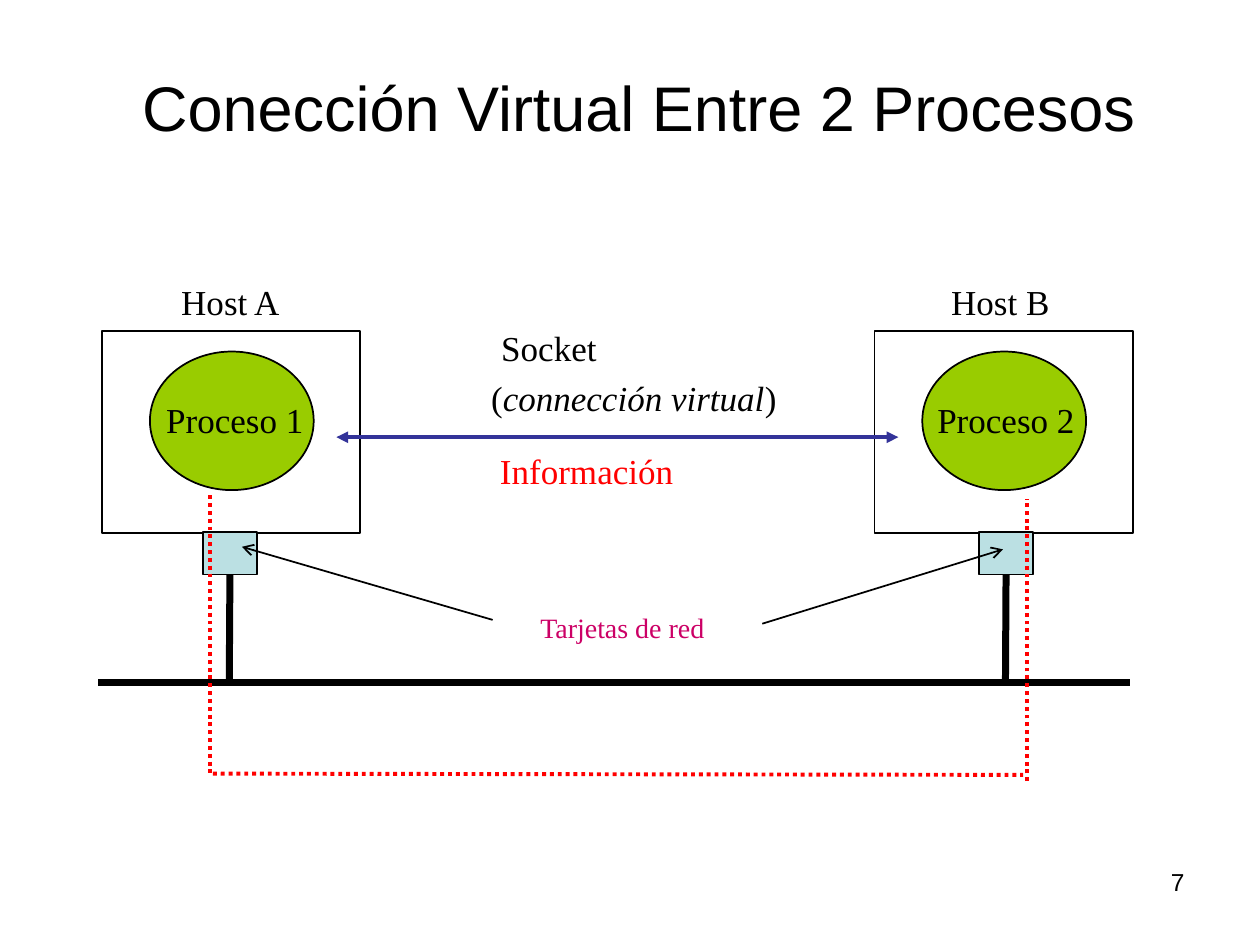
from dataclasses import dataclass
from typing import Optional

from lxml.etree import SubElement
from pptx import Presentation
from pptx.dml.color import RGBColor
from pptx.enum.dml import MSO_LINE
from pptx.enum.shapes import MSO_CONNECTOR, MSO_SHAPE
from pptx.enum.text import MSO_ANCHOR, MSO_AUTO_SIZE, PP_ALIGN
from pptx.oxml.ns import qn
from pptx.util import Emu, Pt

PX = 9144  # EMU per px, 100 px to the inch


@dataclass(frozen=True)
class Theme:
    black: str = "000000"
    white: str = "FFFFFF"
    green: str = "99CC00"
    pale_blue: str = "BBE0E3"
    red: str = "FF0000"
    magenta: str = "CC0066"
    indigo: str = "333399"
    serif: str = "Times New Roman"
    sans: str = "Arial"
    title: int = 36
    label: int = 20
    small: int = 16
    number: int = 14
    thin: float = 1
    medium: float = 2.25
    thick: float = 4


T = Theme()


@dataclass(frozen=True)
class Box:
    x: int
    y: int
    w: int
    h: int

    def emu(self) -> tuple:
        return tuple(Emu(v * PX) for v in (self.x, self.y, self.w, self.h))


@dataclass(frozen=True)
class Label:
    box: Box
    text: str
    size: int = T.label
    color: str = T.black
    font: str = T.serif
    align: PP_ALIGN = PP_ALIGN.LEFT
    anchor: MSO_ANCHOR = MSO_ANCHOR.TOP
    wrap: bool = False
    italic: str = ""  # part of the text set in italics


@dataclass(frozen=True)
class Line:
    x1: int
    y1: int
    x2: int
    y2: int
    color: str = T.black
    width: float = T.thin
    dotted: bool = False
    head: Optional[str] = None
    tail: Optional[str] = None


@dataclass(frozen=True)
class Host:
    x: int
    card_x: int
    name: Label
    process: Label


def draw_shape(s, kind: MSO_SHAPE, box: Box, fill: str):
    sp = s.shapes.add_shape(kind, *box.emu())
    sp.shadow.inherit = False
    sp.fill.solid()
    sp.fill.fore_color.rgb = RGBColor.from_string(fill)
    sp.line.color.rgb = RGBColor.from_string(T.black)
    sp.line.width = Pt(T.thin)
    return sp


def draw_label(s, label: Label) -> None:
    tf = s.shapes.add_textbox(*label.box.emu()).text_frame
    tf.word_wrap = label.wrap
    tf.auto_size = MSO_AUTO_SIZE.NONE if label.wrap else MSO_AUTO_SIZE.SHAPE_TO_FIT_TEXT
    tf.vertical_anchor = label.anchor
    p = tf.paragraphs[0]
    p.alignment = label.align
    p.font.name = label.font
    p.font.size = Pt(label.size)
    p.font.color.rgb = RGBColor.from_string(label.color)
    parts = label.text.partition(label.italic) if label.italic else (label.text,)
    for part in parts:
        r = p.add_run()
        r.text = part
        if part == label.italic:
            r.font.italic = True


def draw_line(s, line: Line):
    ends = (Emu(v * PX) for v in (line.x1, line.y1, line.x2, line.y2))
    c = s.shapes.add_connector(MSO_CONNECTOR.STRAIGHT, *ends)
    c.line.color.rgb = RGBColor.from_string(line.color)
    c.line.width = Pt(line.width)
    if line.dotted:
        c.line.dash_style = MSO_LINE.ROUND_DOT  # stored as sysDot
    ln = c.line._get_or_add_ln()
    for tag, arrow in (("a:headEnd", line.head), ("a:tailEnd", line.tail)):
        if arrow:
            SubElement(ln, qn(tag)).set("type", arrow)
    SubElement(c._element.spPr, qn("a:effectLst"))
    return c


def draw_host(s, host: Host) -> None:
    draw_shape(s, MSO_SHAPE.RECTANGLE, Box(host.x, 263, 205, 160), T.white)
    draw_shape(s, MSO_SHAPE.OVAL, Box(host.x + 38, 279, 130, 110), T.green)
    draw_label(s, host.name)
    draw_label(s, host.process)
    card = draw_shape(s, MSO_SHAPE.RECTANGLE, Box(host.card_x, 422, 43, 34), T.pale_blue)
    # Cable from the network card down to the bus
    middle = host.card_x + 21
    cable = draw_line(s, Line(middle, 456, middle, 540, width=T.thick))
    cable.begin_connect(card, 2)


BUS = Line(78, 542, 897, 542, width=T.thick)

HOSTS = (
    Host(694, 777, Label(Box(745, 218, 98, 43), "Host B"),
         Label(Box(734, 311, 129, 43), "Proceso 2")),
    Host(81, 161, Label(Box(134, 218, 100, 43), "Host A"),
         Label(Box(122, 311, 129, 43), "Proceso 1")),
)

LINES = (
    # Pointers to the network cards
    Line(605, 495, 796, 436, tail="arrow"),
    Line(391, 492, 192, 434, tail="arrow"),
    # Virtual connection
    Line(267, 347, 713, 347, T.indigo, T.medium, head="triangle", tail="triangle"),
    # Real route of the information
    Line(167, 393, 167, 616, T.red, T.medium, dotted=True),
    Line(169, 614, 812, 615, T.red, T.medium, dotted=True),
    Line(815, 620, 815, 396, T.red, T.medium, dotted=True),
)

LABELS = (
    Label(Box(82, 34, 850, 100), "Conección Virtual Entre 2 Procesos", T.title,
          font=T.sans, align=PP_ALIGN.CENTER, anchor=MSO_ANCHOR.MIDDLE, wrap=True),
    Label(Box(388, 254, 96, 43), "Socket"),
    # Fixed width with room to spare, so the caption stays on one line
    Label(Box(380, 294, 260, 44), "(connección virtual)", wrap=True,
          italic="connección virtual"),
    Label(Box(387, 352, 164, 44), "Información", color=T.red),
    Label(Box(419, 480, 152, 37), "Tarjetas de red", T.small, T.magenta),
    Label(Box(717, 683, 233, 52), "7", T.number, font=T.sans,
          align=PP_ALIGN.RIGHT, wrap=True),
)


def main() -> None:
    prs = Presentation()
    prs.slide_width, prs.slide_height = Emu(1000 * PX), Emu(750 * PX)
    s = prs.slides.add_slide(prs.slide_layouts[6])
    draw_line(s, BUS)
    for host in HOSTS:
        draw_host(s, host)
    for line in LINES:
        draw_line(s, line)
    for label in LABELS:
        draw_label(s, label)
    prs.save("out.pptx")


if __name__ == "__main__":
    main()
